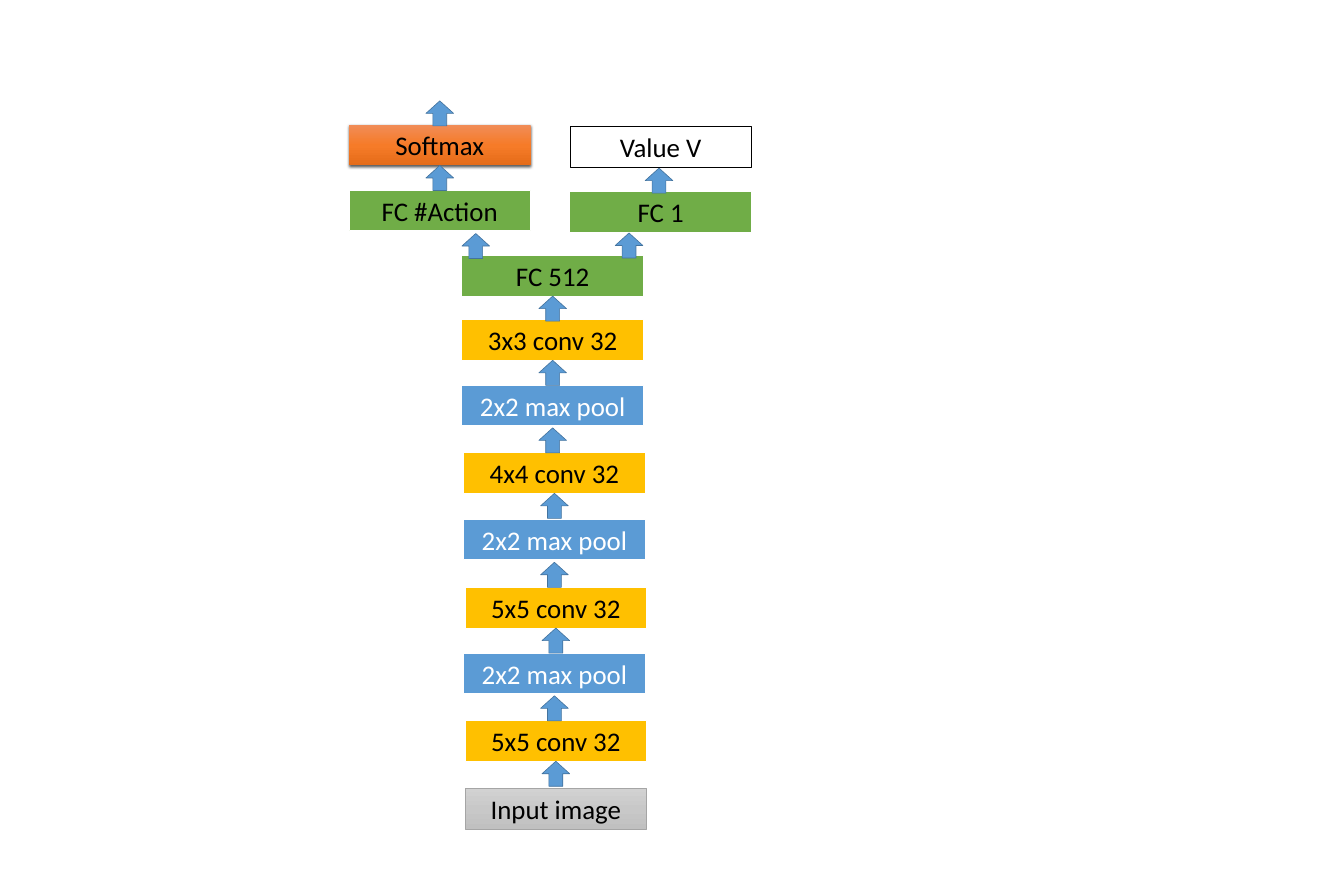
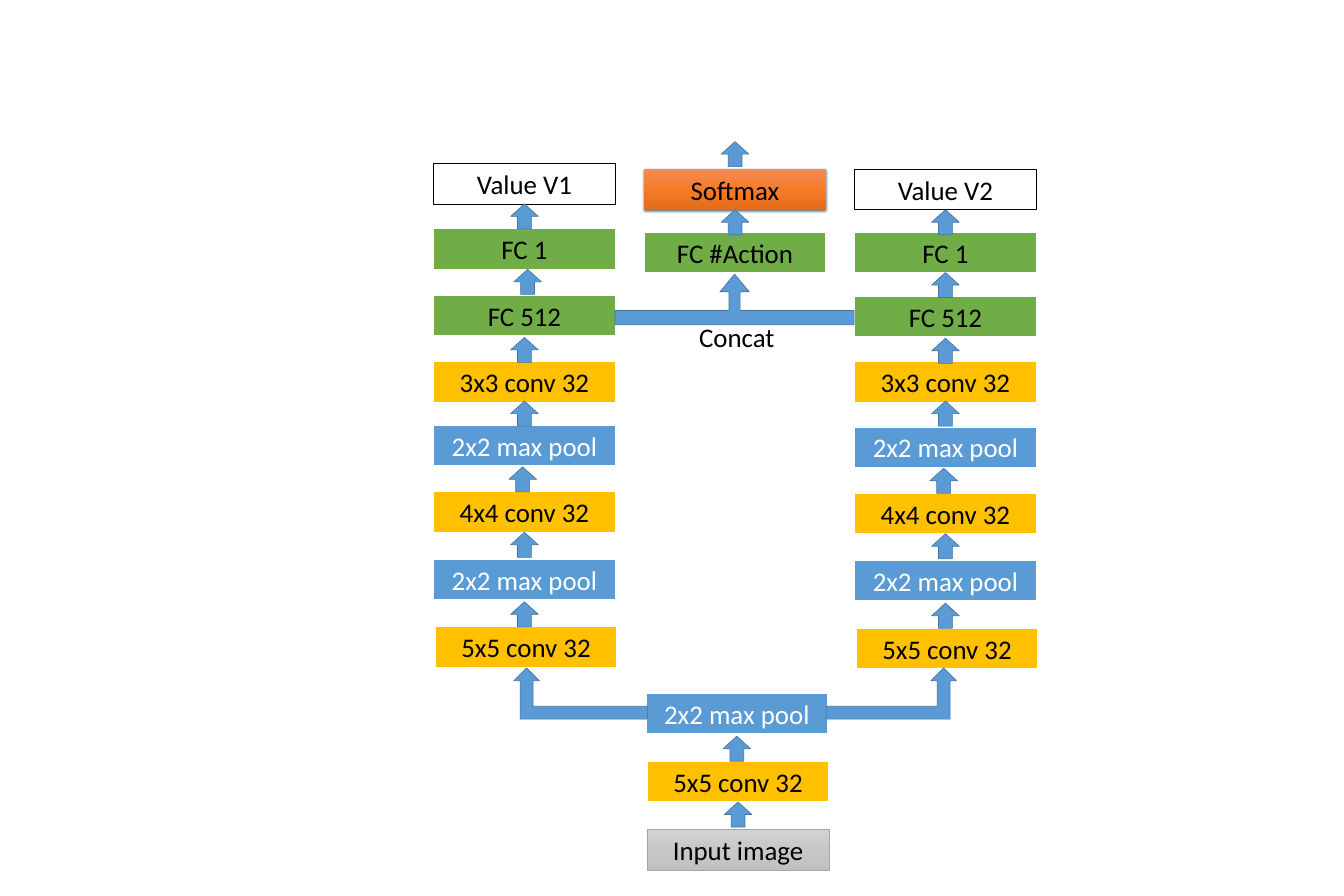
from dataclasses import dataclass

from lxml.etree import SubElement
from pptx import Presentation
from pptx.dml.color import RGBColor
from pptx.enum.shapes import MSO_SHAPE as Preset
from pptx.enum.text import MSO_ANCHOR as Anchor, PP_ALIGN as Align
from pptx.oxml.ns import qn
from pptx.shapes.autoshape import Shape
from pptx.slide import Slide
from pptx.text.text import TextFrame
from pptx.util import Cm, Pt

COLORS = {
    "black": "000000", "white": "FFFFFF", "blue": "5B9BD5", "navy": "43739E",
    "gold": "FFC000", "green": "70AD47", "gray": "A5A5A5",
    "gray_top": "D2D2D2", "gray_mid": "C8C8C8", "gray_end": "C0C0C0",
    "orange_top": "F18C57", "orange_mid": "F67B28", "orange_end": "E56C19",
}
FONT, FONT_SIZE = "Calibri", 43.2
BLOCK_W, BLOCK_H = 10.29, 2.29
ARROW_W, ARROW_H = 1.57, 1.42
POOL_GAP = 0.13


@dataclass(frozen=True)
class Style:
    fill: tuple[str, ...]
    line: str | None = "white"
    line_width: float = 1.5
    text: str = "black"
    shadow: bool = False


STYLES = {
    "input": Style(("gray_top", "gray_mid", "gray_end"), "gray", 0.5),
    "conv": Style(("gold",)),
    "pool": Style(("blue",), text="white"),
    "fc": Style(("green",)),
    "softmax": Style(("orange_top", "orange_mid", "orange_end"), None, shadow=True),
    "value": Style(("white",), "black", 1),
    "arrow": Style(("blue",), "navy", 1),
}


@dataclass(frozen=True)
class Block:
    kind: str
    text: str
    left: float
    top: float
    fed: bool = True
    gap: float = 0
    shift: float = 0


@dataclass(frozen=True)
class Layer:
    kind: str
    text: str
    gap: float = 0
    shift: float = 0


@dataclass(frozen=True)
class Tower:
    left: float
    tops: tuple[float, ...]
    value: str
    head_shift: float = 0


TOWER_LAYERS = (
    Layer("conv", "5x5 conv 32", shift=0.09),
    Layer("pool", "2x2 max pool", POOL_GAP),
    Layer("conv", "4x4 conv 32"),
    Layer("pool", "2x2 max pool", 0.05, -0.1),
    Layer("conv", "3x3 conv 32", -0.07),
    Layer("fc", "FC 512", 0.1),
    Layer("fc", "FC 1"),
)

SINGLE_NET = (
    Block("input", "Input image", 26.37, 44.7, fed=False),
    Block("conv", "5x5 conv 32", 26.37, 40.87),
    Block("pool", "2x2 max pool", 26.29, 37.03, gap=POOL_GAP),
    Block("conv", "5x5 conv 32", 26.37, 33.32),
    Block("pool", "2x2 max pool", 26.29, 29.46, gap=POOL_GAP),
    Block("conv", "4x4 conv 32", 26.29, 25.68),
    Block("pool", "2x2 max pool", 26.19, 21.84, gap=POOL_GAP),
    Block("conv", "3x3 conv 32", 26.19, 18.14),
    Block("fc", "FC 512", 26.19, 14.5),
    Block("fc", "FC #Action", 19.79, 10.8, gap=0.15, shift=2.04),
    Block("fc", "FC 1", 32.31, 10.87, gap=0.05, shift=-1.79),
    Block("softmax", "Softmax", 19.79, 7.09),
    Block("value", "Value V", 32.31, 7.19, gap=0.05, shift=-0.09),
)

SHARED_STEM = (
    Block("input", "Input image", 36.7, 47.02, fed=False),
    Block("conv", "5x5 conv 32", 36.7, 43.18),
    Block("pool", "2x2 max pool", 36.63, 39.32, gap=POOL_GAP),
)
POLICY_HEAD = (
    Block("fc", "FC #Action", 36.53, 13.16, fed=False),
    Block("softmax", "Softmax", 36.53, 9.6),
)
TOWERS = (
    Tower(48.46, (35.61, 31.78, 27.97, 24.21, 20.52, 16.79, 13.16, 9.6), "Value V2"),
    Tower(24.59, (35.53, 31.7, 27.89, 24.13, 20.52, 16.74, 12.98, 9.27), "Value V1", 0.18),
)


def rgb(name: str) -> RGBColor:
    return RGBColor.from_string(COLORS[name])


def paint(shape: Shape, style: Style) -> None:
    properties = shape.element.spPr
    if len(style.fill) == 1:
        shape.fill.solid()
        shape.fill.fore_color.rgb = rgb(style.fill[0])
    else:
        shape.fill.gradient()
        shape.fill.gradient_angle = 270
        stops = properties.find(qn("a:gradFill")).find(qn("a:gsLst"))
        for stop in list(stops):
            stops.remove(stop)
        for index, name in enumerate(style.fill):
            position = 100000 * index // (len(style.fill) - 1)
            stop = SubElement(stops, qn("a:gs"), pos=str(position))
            SubElement(stop, qn("a:srgbClr"), val=COLORS[name])
    if style.line:
        shape.line.color.rgb = rgb(style.line)
        shape.line.width = Pt(style.line_width)
    else:
        shape.line.fill.background()
    shape.shadow.inherit = False
    if style.shadow:
        effects = properties.find(qn("a:effectLst"))
        shadow = SubElement(effects, qn("a:outerShdw"), blurRad=str(Pt(4.5)),
                            dist=str(Pt(1.5)), dir="5400000", rotWithShape="0")
        tint = SubElement(shadow, qn("a:srgbClr"), val=COLORS["black"])
        SubElement(tint, qn("a:alpha"), val="63000")


def write(frame: TextFrame, text: str, color: str) -> None:
    frame.word_wrap = True
    paragraph = frame.paragraphs[0]
    paragraph.text = text
    paragraph.alignment = Align.CENTER
    paragraph.font.name = FONT
    paragraph.font.size = Pt(FONT_SIZE)
    paragraph.font.color.rgb = rgb(color)


def draw_shape(slide: Slide, preset: Preset, style: str, left: float, top: float,
               width: float, height: float) -> Shape:
    shape = slide.shapes.add_shape(preset, Cm(left), Cm(top), Cm(width), Cm(height))
    paint(shape, STYLES[style])
    return shape


def draw_arrow(slide: Slide, block: Block, top: float) -> None:
    left = block.left + (BLOCK_W - ARROW_W) / 2 + block.shift
    draw_shape(slide, Preset.UP_ARROW, "arrow", left, top, ARROW_W, ARROW_H)


def draw_blocks(slide: Slide, blocks: tuple[Block, ...]) -> None:
    for block in blocks:
        box = draw_shape(slide, Preset.RECTANGLE, block.kind, block.left, block.top,
                         BLOCK_W, BLOCK_H)
        box.text_frame.vertical_anchor = Anchor.MIDDLE
        write(box.text_frame, block.text, STYLES[block.kind].text)
        if block.fed:
            draw_arrow(slide, block, block.top + BLOCK_H + block.gap)


def tower_blocks(tower: Tower) -> tuple[Block, ...]:
    entry, *middle, head = TOWER_LAYERS
    layers = [*middle, Layer(head.kind, head.text, head.gap, tower.head_shift),
              Layer("value", tower.value)]
    first = Block(entry.kind, entry.text, tower.left + entry.shift, tower.tops[0], fed=False)
    rest = (Block(layer.kind, layer.text, tower.left, top, True, layer.gap, layer.shift)
            for layer, top in zip(layers, tower.tops[1:]))
    return (first, *rest)


def draw_single_net(slide: Slide) -> None:
    draw_blocks(slide, SINGLE_NET)
    softmax = next(block for block in SINGLE_NET if block.kind == "softmax")
    draw_arrow(slide, softmax, 5.72)


def draw_twin_net(slide: Slide) -> None:
    draw_blocks(slide, SHARED_STEM)
    for tower in TOWERS:
        draw_blocks(slide, tower_blocks(tower))
    draw_blocks(slide, POLICY_HEAD)
    draw_arrow(slide, POLICY_HEAD[-1], 8.03)

    draw_shape(slide, Preset.BENT_UP_ARROW, "arrow", 46.84, 37.87, 7.39, 2.9)
    left_branch = draw_shape(slide, Preset.BENT_UP_ARROW, "arrow", 29.13, 37.87, 7.57, 2.9)
    left_branch.element.spPr.find(qn("a:xfrm")).set("flipH", "1")

    merge = draw_shape(slide, Preset.UP_ARROW_CALLOUT, "arrow", 34.87, 15.54, 13.56, 2.87)
    for index, ratio in enumerate((0.22, 0.29, 0.35, 0.28)):
        merge.adjustments[index] = ratio
    concat = slide.shapes.add_textbox(Cm(39.04), Cm(18.03), Cm(5.46), Cm(2.11))
    write(concat.text_frame, "Concat", "black")


def main() -> None:
    deck = Presentation()
    deck.slide_width, deck.slide_height = Cm(76.2), Cm(50.8)
    for draw in (draw_single_net, draw_twin_net):
        draw(deck.slides.add_slide(deck.slide_layouts[6]))
    deck.save("out.pptx")


if __name__ == "__main__":
    main()
